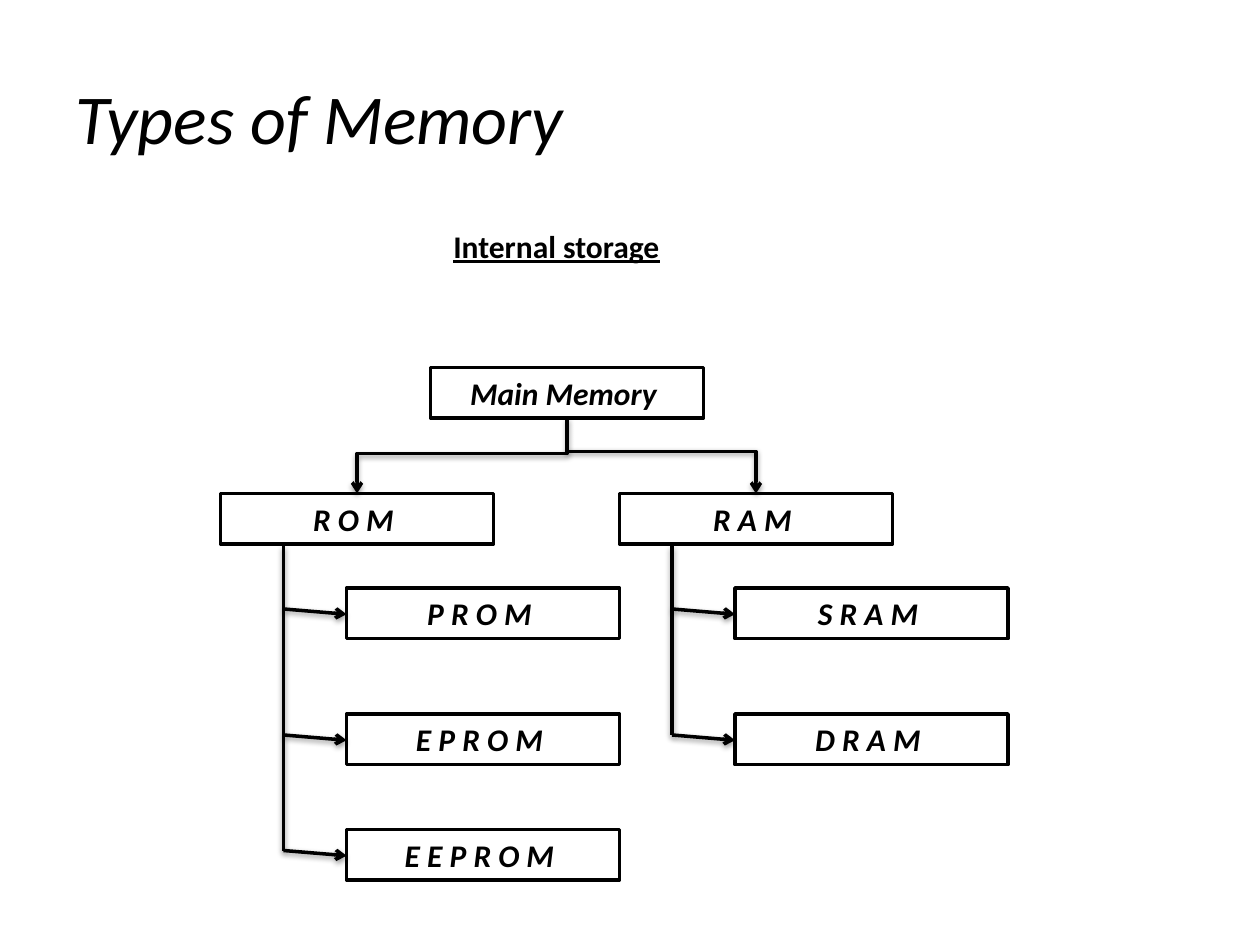
from dataclasses import dataclass

from lxml import etree
from pptx import Presentation
from pptx.dml.color import RGBColor
from pptx.enum.shapes import MSO_CONNECTOR, MSO_SHAPE
from pptx.enum.text import MSO_ANCHOR, MSO_AUTO_SIZE, PP_ALIGN
from pptx.oxml import parse_xml
from pptx.oxml.ns import qn
from pptx.util import Pt

RECT = MSO_SHAPE.RECTANGLE
STRAIGHT, ELBOW = MSO_CONNECTOR.STRAIGHT, MSO_CONNECTOR.ELBOW
MIDDLE = MSO_ANCHOR.MIDDLE
LEFT, CENTER = PP_ALIGN.LEFT, PP_ALIGN.CENTER
GROW = MSO_AUTO_SIZE.SHAPE_TO_FIT_TEXT

SHADOW = """
<a:effectLst xmlns:a="http://schemas.openxmlformats.org/drawingml/2006/main">
  <a:outerShdw blurRad="40000" dist="20000" dir="5400000" rotWithShape="0">
    <a:srgbClr val="000000"><a:alpha val="38000"/></a:srgbClr>
  </a:outerShdw>
</a:effectLst>"""


@dataclass
class Theme:
    font: str = "Calibri"
    ink: RGBColor = RGBColor(0, 0, 0)
    paper: RGBColor = RGBColor(255, 255, 255)
    title_size: int = 40
    text_size: int = 18
    line_width: int = 2


class Board:
    def __init__(self, slide, theme):
        self.s = slide
        self.theme = theme

    def set_text(self, sp, text, size, align, bold=False, italic=False, underline=False):
        tf = sp.text_frame
        tf.word_wrap = True
        tf.text = text
        p = tf.paragraphs[0]
        p.alignment = align
        p.font.name = self.theme.font
        p.font.size = Pt(size)
        p.font.color.rgb = self.theme.ink
        p.font.bold, p.font.italic, p.font.underline = bold, italic, underline
        return tf

    def title(self, text, x, y, w, h):
        sp = self.s.shapes.title
        sp.left, sp.top, sp.width, sp.height = Pt(x), Pt(y), Pt(w), Pt(h)
        tf = self.set_text(sp, text, self.theme.title_size, LEFT, italic=True)
        tf.vertical_anchor = MIDDLE

    def label(self, text, x, y, w, h):
        sp = self.s.shapes.add_textbox(Pt(x), Pt(y), Pt(w), Pt(h))
        tf = self.set_text(sp, text, self.theme.text_size, CENTER, bold=True, underline=True)
        tf.auto_size = GROW

    def box(self, text, x, y, w, h):
        sp = self.s.shapes.add_shape(RECT, Pt(x), Pt(y), Pt(w), Pt(h))
        sp.shadow.inherit = False
        sp.fill.solid()
        sp.fill.fore_color.rgb = self.theme.paper
        sp.line.color.rgb = self.theme.ink
        sp.line.width = Pt(self.theme.line_width)
        tf = self.set_text(sp, text, self.theme.text_size, CENTER, bold=True, italic=True)
        tf.auto_size = GROW

    def line(self, x1, y1, x2, y2, kind=STRAIGHT, arrow=True):
        sp = self.s.shapes.add_connector(kind, Pt(x1), Pt(y1), Pt(x2), Pt(y2))
        sp.line.color.rgb = self.theme.ink
        sp.line.width = Pt(self.theme.line_width)
        sp_pr = sp.element.spPr
        if arrow:
            etree.SubElement(sp_pr.find(qn("a:ln")), qn("a:tailEnd"), type="arrow")
        sp_pr.append(parse_xml(SHADOW))
        return sp_pr

    def corner(self, x1, y1, x2, y2):
        sp_pr = self.line(x1, y1, x2, y2, ELBOW)
        sp_pr.find(qn("a:prstGeom")).set("prst", "bentConnector2")

    def step_down_left(self, x1, y1, x2, y2, bend):
        cx, cy = (x1 + x2) / 2, (y1 + y2) / 2
        dx, dy = (y2 - y1) / 2, (x1 - x2) / 2
        sp_pr = self.line(cx - dx, cy - dy, cx + dx, cy + dy, ELBOW)
        sp_pr.find(qn("a:xfrm")).set("rot", "5400000")
        guides = sp_pr.find(qn("a:prstGeom")).find(qn("a:avLst"))
        etree.SubElement(guides, qn("a:gd"), name="adj1", fmla=f"val {round(bend * 100000)}")


def main():
    prs = Presentation()
    prs.slide_width, prs.slide_height = Pt(720), Pt(540)
    s = prs.slides.add_slide(prs.slide_layouts[5])
    board = Board(s, Theme())

    box_w, box_h = 156, 29
    root_x, root_y, type_y = 246, 210, 282
    root_mid = root_x + box_w / 2
    trunk_top, branch_drop, arrow_drop = 312, 12, 15
    families = [
        ("R O M ", 126, 162, 198, [("P R O M ", 336), ("E P R O M ", 408), ("E E P R O M ", 474)]),
        ("R A M ", 354, 384, 420, [("S R A M ", 336), ("D R A M ", 408)]),
    ]

    board.title("Types of Memory", 36, 21.6, 648, 90)
    board.label("Internal storage", 228, 126, 180, box_h)
    board.box("Main Memory ", root_x, root_y, box_w, box_h)

    for name, x, trunk_x, child_x, children in families:
        board.box(name, x, type_y, box_w, box_h)
        for child, y in children:
            board.box(child, child_x, y, box_w, box_h)
            board.line(trunk_x, y + branch_drop, child_x, y + arrow_drop)
        last_y = children[-1][1] + branch_drop
        board.line(trunk_x, trunk_top, trunk_x, last_y, arrow=False)

    rom_mid, ram_mid = (family[1] + box_w / 2 for family in families)
    board.step_down_left(root_mid, root_y + box_h, rom_mid, type_y, 0.47)
    board.corner(root_mid, 258, ram_mid, type_y)

    prs.save("out.pptx")


if __name__ == "__main__":
    main()
